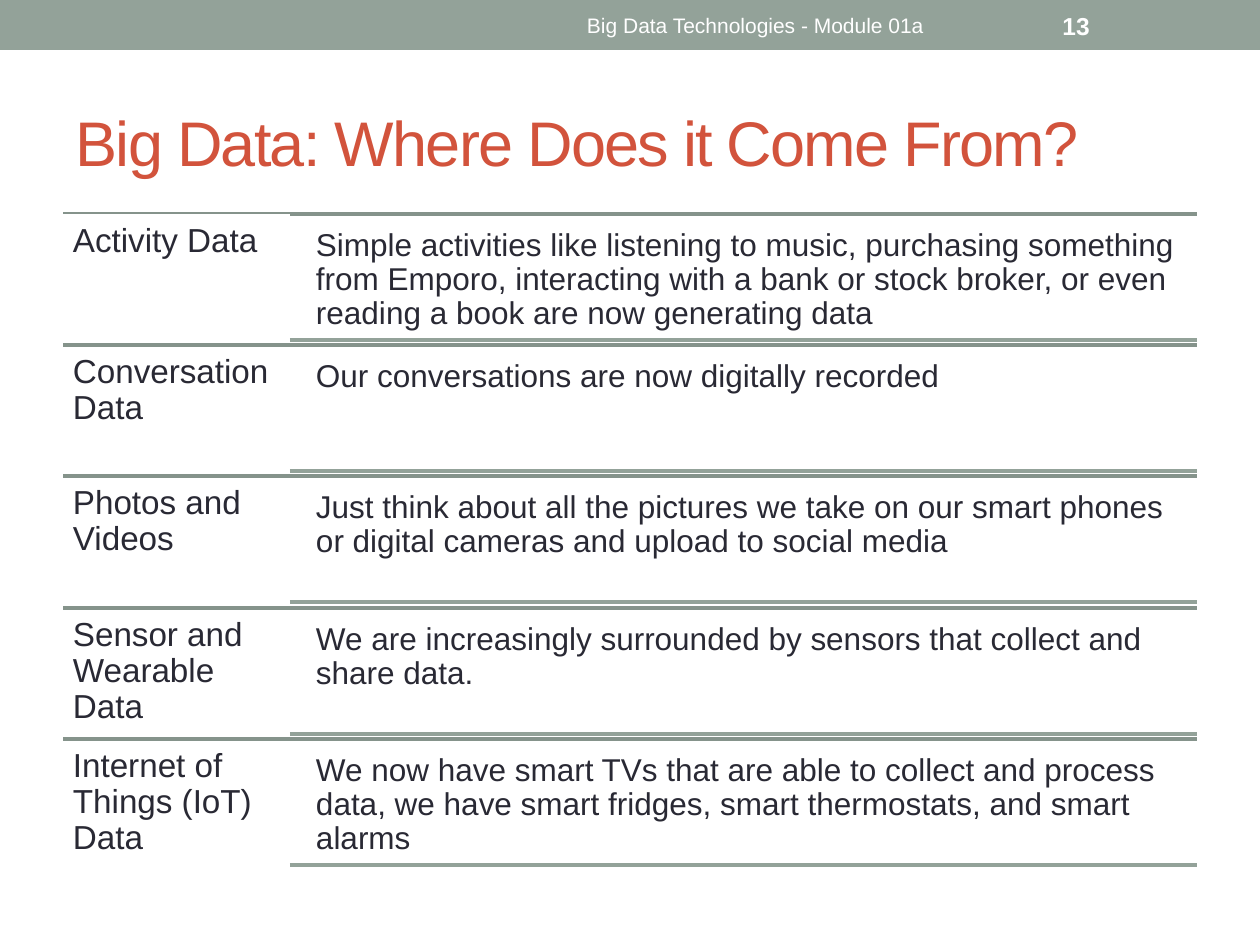
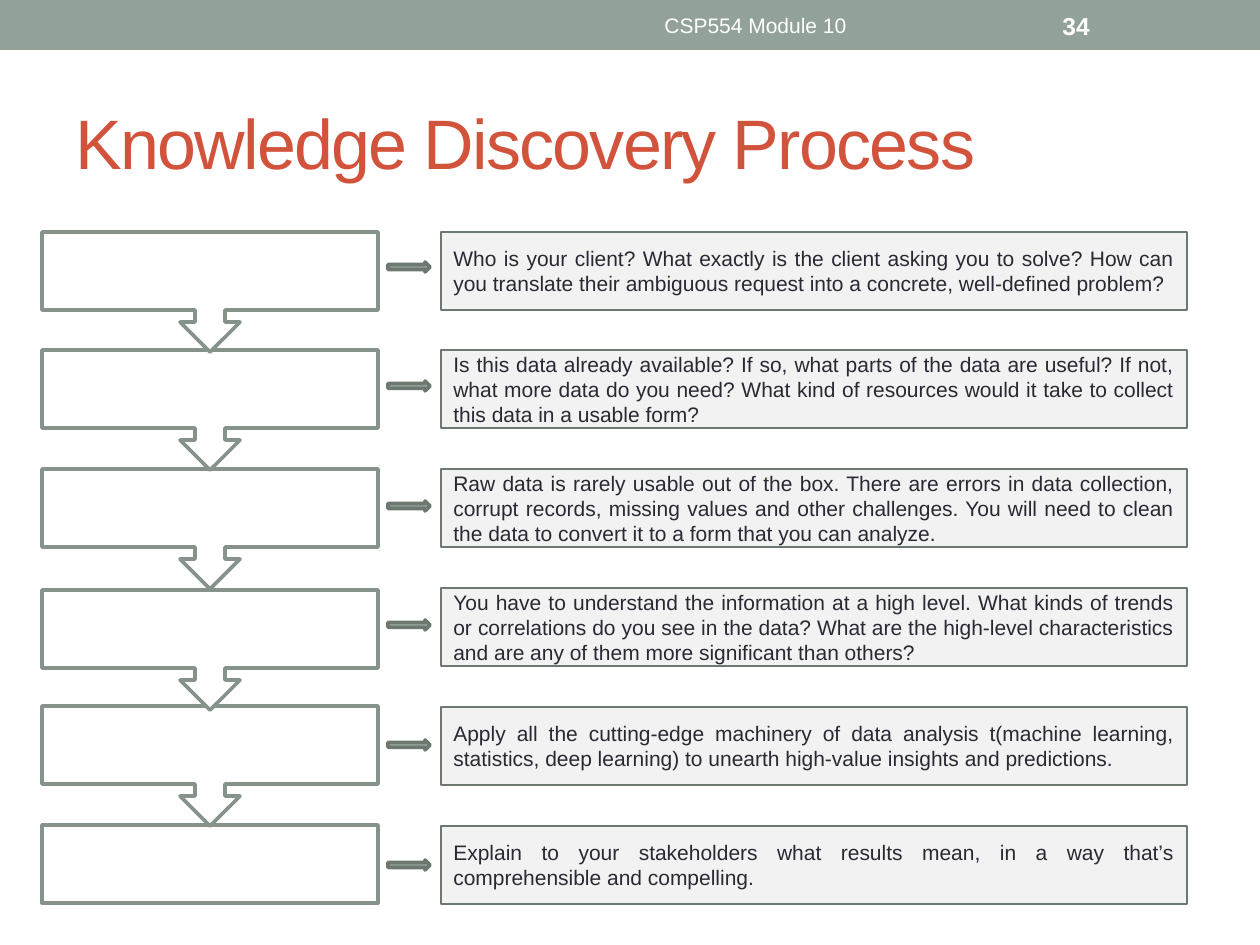
import dataclasses

import pptx
import pptx.dml.color
import pptx.enum.shapes
import pptx.enum.text
import pptx.oxml.ns
import pptx.util
from lxml import etree

ALIGN = pptx.enum.text.PP_ALIGN
ANCHOR = pptx.enum.text.MSO_ANCHOR
SHAPE = pptx.enum.shapes.MSO_SHAPE


@dataclasses.dataclass(frozen=True)
class Theme:
    """Colours, font and type sizes shared by the slides."""
    font: str = "Arial"
    white: str = "FFFFFF"
    panel: str = "F2F2F2"
    sage: str = "93A299"
    sage_mid: str = "85938B"
    sage_dark: str = "6D7871"
    title: str = "D2533C"
    ink: str = "292934"
    footer_size: int = 12
    number_size: int = 14
    label_size: int = 19
    detail_size: int = 18
    question_size: int = 12
    rule: float = 2.08
    thin_rule: float = 1.25


THEME = Theme()

SOURCES = [
    ("Activity Data",
     "Simple activities like listening to music, purchasing something from Emporo, "
     "interacting with a bank or stock broker, or even reading a book are now generating data"),
    ("Conversation Data", "Our conversations are now digitally recorded"),
    ("Photos and Videos",
     "Just think about all the pictures we take on our smart phones or digital cameras "
     "and upload to social media"),
    ("Sensor and Wearable Data",
     "We are increasingly surrounded by sensors that collect and share data."),
    ("Internet of Things (IoT) Data",
     "We now have smart TVs that are able to collect and process data, we have smart fridges, "
     "smart thermostats, and smart alarms"),
]

QUESTIONS = [
    "Who is your client? What exactly is the client asking you to solve? How can you translate "
    "their ambiguous request into a concrete, well-defined problem?",
    "Is this data already available? If so, what parts of the data are useful? If not, what more "
    "data do you need? What kind of resources would it take to collect this data in a usable form?",
    "Raw data is rarely usable out of the box. There are errors in data collection, corrupt "
    "records, missing values and other challenges. You will need to clean the data to convert it "
    "to a form that you can analyze.",
    "You have to understand the information at a high level. What kinds of trends or correlations "
    "do you see in the data? What are the high-level characteristics and are any of them more "
    "significant than others?",
    "Apply all the cutting-edge machinery of data analysis t(machine learning, statistics, deep "
    "learning) to unearth high-value insights and predictions.",
    "Explain to your stakeholders what results mean, in a way that’s comprehensible and "
    "compelling.",
]

STEP_TOPS = (232, 350, 469, 590, 706, 825)


def px(n):
    """Turn pixels into EMU."""
    return pptx.util.Emu(round(n * 914400 / 126))


def rgb(color):
    """Turn a hex string into a colour."""
    return pptx.dml.color.RGBColor.from_string(color)


def write(sp, text, size, color, align=ALIGN.LEFT, anchor=ANCHOR.TOP, bold=False,
          inset=None, spacing=None):
    """Put one formatted paragraph into a shape and return its run."""
    tf = sp.text_frame
    tf.text = text
    tf.word_wrap = True
    tf.auto_size = pptx.enum.text.MSO_AUTO_SIZE.NONE
    tf.vertical_anchor = anchor
    if inset is not None:
        tf.margin_left = tf.margin_top = tf.margin_right = tf.margin_bottom = px(inset)
    p = tf.paragraphs[0]
    p.alignment = align
    if spacing:
        p.line_spacing = spacing
    r = p.runs[0]
    r.font.name = THEME.font
    r.font.size = pptx.util.Pt(size)
    r.font.bold = bold
    r.font.color.rgb = rgb(color)
    return r


def add_text(s, box, text, size, color, **style):
    """Add a text box."""
    sp = s.shapes.add_textbox(*map(px, box))
    write(sp, text, size, color, **style)
    return sp


def add_box(s, kind, box, fill, line=None, width=THEME.rule):
    """Add a flat preset shape."""
    sp = s.shapes.add_shape(kind, *map(px, box))
    sp.shadow.inherit = False
    sp.fill.solid()
    sp.fill.fore_color.rgb = rgb(fill)
    if line:
        sp.line.color.rgb = rgb(line)
        sp.line.width = pptx.util.Pt(width)
    else:
        sp.line.fill.background()
    return sp


def add_rule(s, left, right, y, color):
    """Add a horizontal rule."""
    cn = s.shapes.add_connector(pptx.enum.shapes.MSO_CONNECTOR.STRAIGHT,
                                px(left), px(y), px(right), px(y))
    cn.line.color.rgb = rgb(color)
    cn.line.width = pptx.util.Pt(THEME.rule)
    etree.SubElement(cn._element.spPr, pptx.oxml.ns.qn("a:effectLst"))


def add_slide(prs, title, title_size, footer, number):
    """Add a slide with its band, title, footer and slide number."""
    s = prs.slides.add_slide(prs.slide_layouts[5])
    add_box(s, SHAPE.RECTANGLE, (0, 0, 1260, 50), THEME.sage)
    sp = s.shapes.title
    sp.left, sp.top, sp.width, sp.height = map(px, (63, 73, 1134, 136))
    r = write(sp, title, title_size, THEME.title, anchor=ANCHOR.MIDDLE)
    r._r.get_or_add_rPr().set("spc", "-100")
    add_text(s, (472, 3, 567, 45), footer, THEME.footer_size, THEME.white,
             align=ALIGN.CENTER, anchor=ANCHOR.MIDDLE)
    add_text(s, (1050, 3, 147, 45), number, THEME.number_size, THEME.white,
             anchor=ANCHOR.MIDDLE, bold=True)
    return s


def add_source_row(s, top, label, detail):
    """Add a ruled row with a data source and its description."""
    add_rule(s, 63, 1197, top, THEME.sage_mid)
    if label == SOURCES[0][0]:
        add_box(s, SHAPE.RECTANGLE, (63, top, 227, 131), THEME.white)
    add_text(s, (63, top, 227, 131), label, THEME.label_size, THEME.ink, inset=10, spacing=0.9)
    add_text(s, (307, top + 6, 891, 120), detail, THEME.detail_size, THEME.ink,
             inset=9, spacing=0.9)
    add_rule(s, 290, 1197, top + 126, THEME.sage)


def add_steps(s):
    """Add the chain of empty step boxes, last one at the back."""
    *callout_tops, last_top = STEP_TOPS
    add_box(s, SHAPE.RECTANGLE, (42, last_top, 336, 78), THEME.white, THEME.sage_mid)
    for top in reversed(callout_tops):
        sp = add_box(s, SHAPE.UP_ARROW_CALLOUT, (42, top, 336, 120), THEME.white, THEME.sage_mid)
        sp.rotation = 180


def add_question(s, i, question):
    """Add the question panel of step i and the arrow leading to it."""
    sp = add_box(s, SHAPE.RECTANGLE, (441, 232 + i * 594 // 5, 746, 78),
                 THEME.panel, THEME.sage_dark, THEME.thin_rule)
    write(sp, question, THEME.question_size, THEME.ink, align=ALIGN.JUSTIFY, anchor=ANCHOR.MIDDLE)
    add_box(s, SHAPE.RIGHT_ARROW, (388, 262 + i * 598 // 5, 42, 10), THEME.sage, THEME.sage_dark)


def main():
    """Build and save the two slides."""
    prs = pptx.Presentation()
    prs.slide_width, prs.slide_height = px(1260), px(945)

    s = add_slide(prs, "Big Data: Where Does it Come From?", 36,
                  "Big Data Technologies - Module 01a", "13")
    for i, (label, detail) in enumerate(SOURCES):
        add_source_row(s, 214 + i * 657 // 5, label, detail)

    s = add_slide(prs, "Knowledge Discovery Process", 40, "CSP554 Module 10", "34")
    add_steps(s)
    for i, question in enumerate(QUESTIONS):
        add_question(s, i, question)

    prs.save("out.pptx")


if __name__ == "__main__":
    main()
